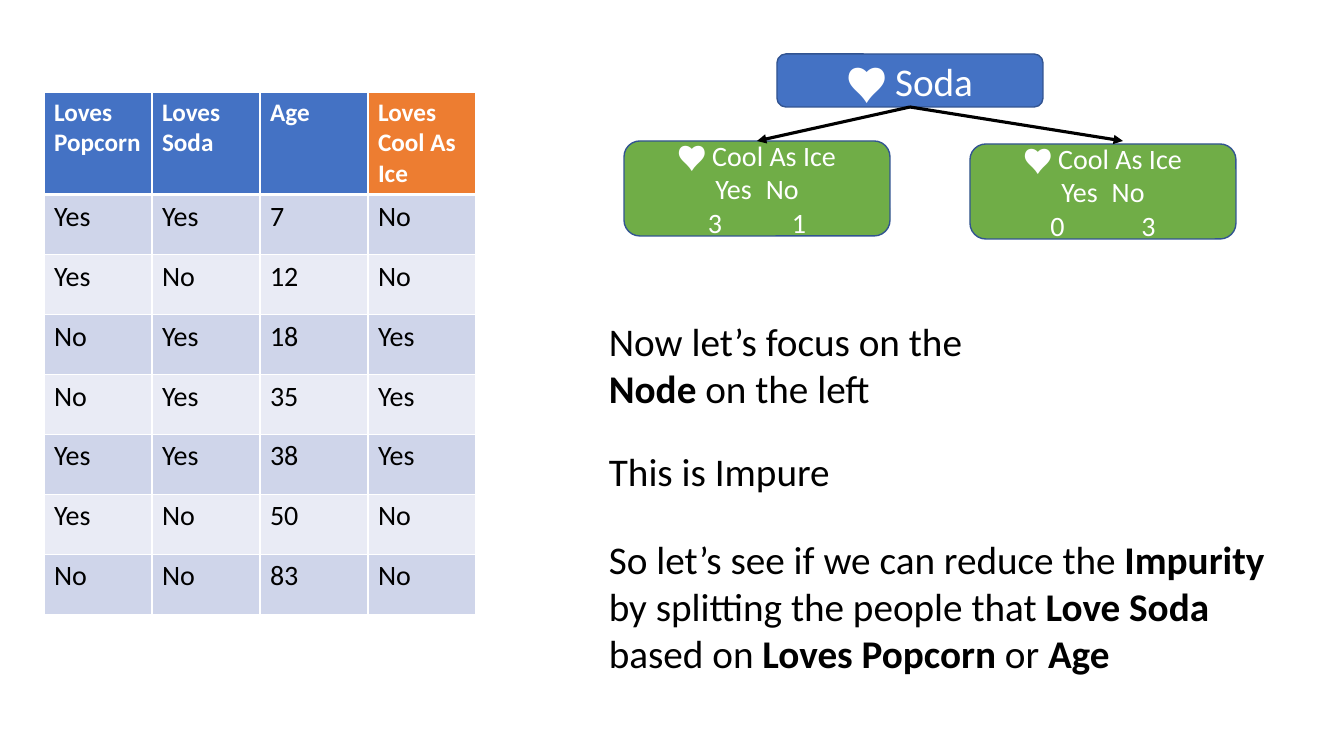
import pptx
import pptx.dml.color
import pptx.enum.shapes
import pptx.enum.text
import pptx.oxml
import pptx.oxml.ns
import pptx.util

# Content
HEADERS = ["Loves Popcorn", "Loves Soda", "Age", "Loves Cool As Ice"]
PEOPLE = [
    ("Yes", "Yes", "7", "No"),
    ("Yes", "No", "12", "No"),
    ("No", "Yes", "18", "Yes"),
    ("No", "Yes", "35", "Yes"),
    ("Yes", "Yes", "38", "Yes"),
    ("Yes", "No", "50", "No"),
    ("No", "No", "83", "No"),
]
LEAF_TITLE = "♥︎ Cool As Ice"
# Lines, area, fill, text size, distance from the first count to the second
NODES = [
    (["♥︎ Soda"], (777, 54, 266, 53), "4472C4", 28, 0),
    ([LEAF_TITLE, "Yes\tNo", "3\t1"], (624, 141, 266, 95), "70AD47", 20, 84),
    ([LEAF_TITLE, "Yes\tNo", "0\t3"], (970, 144, 266, 95), "70AD47", 20, 91),
]
BRANCH_START = (910, 107)
BRANCH_ENDS = [(757, 141), (1123, 141)]
# Area and runs, each with its bold flag
NOTES = [
    ((599, 312, 393, 105),
     [("Now let’s focus on the ", False), ("Node", True), (" on the left", False)]),
    ((599, 442, 393, 57), [("This is Impure", False)]),
    ((599, 530, 679, 152),
     [("So let’s see if we can reduce the ", False), ("Impurity", True),
      (" by splitting the people that ", False), ("Love Soda ", True),
      ("based on ", False), ("Loves Popcorn ", True), ("or ", False), ("Age", True)]),
]
TABLE_LEFT, TABLE_TOP, COLUMN_WIDTH, HEADER_HEIGHT, ROW_HEIGHT = 44, 92, 108, 99, 60
SCALE = 914400 / 100.8


def px(*lengths):
    return [pptx.util.Emu(round(length * SCALE)) for length in lengths]


def color(value):
    return pptx.dml.color.RGBColor.from_string(value)


def xml(text):
    namespace = pptx.oxml.ns.nsdecls("a")
    return pptx.oxml.parse_xml(text.replace(">", f" {namespace}>", 1))


def style(span, size, value, bold=False):
    span.font.name = "Calibri"
    span.font.size = pptx.util.Pt(size)
    span.font.bold = bold
    span.font.color.rgb = color(value)


def fill(target, value):
    target.fill.solid()
    target.fill.fore_color.rgb = color(value)


def set_borders(cell, bottom):
    properties = cell._tc.get_or_add_tcPr()
    widths = {"lnL": 1, "lnR": 1, "lnT": 1, "lnB": bottom}
    for index, (side, width) in enumerate(widths.items()):
        properties.insert(index, xml(
            f'<a:{side} w="{width * 12700}"><a:solidFill>'
            f'<a:srgbClr val="FFFFFF"/></a:solidFill></a:{side}>'))


deck = pptx.Presentation()
deck.slide_width, deck.slide_height = px(1344, 756)
page = deck.slides.add_slide(deck.slide_layouts[6])

# Table of people
rows = [HEADERS] + PEOPLE
table = page.shapes.add_table(
    len(rows), len(HEADERS),
    *px(TABLE_LEFT, TABLE_TOP, COLUMN_WIDTH * len(HEADERS),
        HEADER_HEIGHT + ROW_HEIGHT * len(PEOPLE))).table
for column in table.columns:
    column.width = px(COLUMN_WIDTH)[0]
for row_index, row in enumerate(rows):
    header = row_index == 0
    table.rows[row_index].height = px(HEADER_HEIGHT if header else ROW_HEIGHT)[0]
    for column_index, value in enumerate(row):
        cell = table.cell(row_index, column_index)
        cell.text = value
        span = cell.text_frame.paragraphs[0].runs[0]
        if header:
            style(span, 18, "FFFFFF", True)
            fill(cell, "ED7D31" if column_index == len(HEADERS) - 1 else "4472C4")
        else:
            style(span, 20, "000000")
            fill(cell, "CFD5EA" if row_index % 2 else "E9EBF5")
        set_borders(cell, 3 if header else 1)

# Tree nodes
for lines, area, node_color, size, count_gap in NODES:
    box = page.shapes.add_shape(
        pptx.enum.shapes.MSO_SHAPE.ROUNDED_RECTANGLE, *px(*area))
    box.shadow.inherit = False
    fill(box, node_color)
    box.line.color.rgb = color("325491")
    box.line.width = pptx.util.Pt(1)
    box.text_frame.word_wrap = True
    box.text_frame.vertical_anchor = pptx.enum.text.MSO_ANCHOR.MIDDLE
    box.text_frame.text = "\n".join(lines)
    for para in box.text_frame.paragraphs:
        para.alignment = pptx.enum.text.PP_ALIGN.CENTER
        for span in para.runs:
            style(span, size, "FFFFFF")
    if count_gap:
        counts = box.text_frame.paragraphs[-1]
        counts._p.get_or_add_pPr().append(xml(
            f'<a:tabLst><a:tab pos="{px(count_gap)[0]}" algn="l"/></a:tabLst>'))

# Branches
for end in BRANCH_ENDS:
    branch = page.shapes.add_connector(
        pptx.enum.shapes.MSO_CONNECTOR.STRAIGHT, *px(*BRANCH_START, *end))
    branch.line.color.rgb = color("000000")
    branch.line.width = pptx.util.Pt(2.25)
    branch.line._get_or_add_ln().append(xml('<a:tailEnd type="triangle"></a:tailEnd>'))
    branch._element.spPr.append(xml("<a:effectLst></a:effectLst>"))

# Explanation
for area, spans in NOTES:
    box = page.shapes.add_textbox(*px(*area))
    box.text_frame.word_wrap = True
    box.text_frame.auto_size = pptx.enum.text.MSO_AUTO_SIZE.SHAPE_TO_FIT_TEXT
    for text, bold in spans:
        span = box.text_frame.paragraphs[0].add_run()
        span.text = text
        style(span, 28, "000000", bold)

deck.save("out.pptx")
